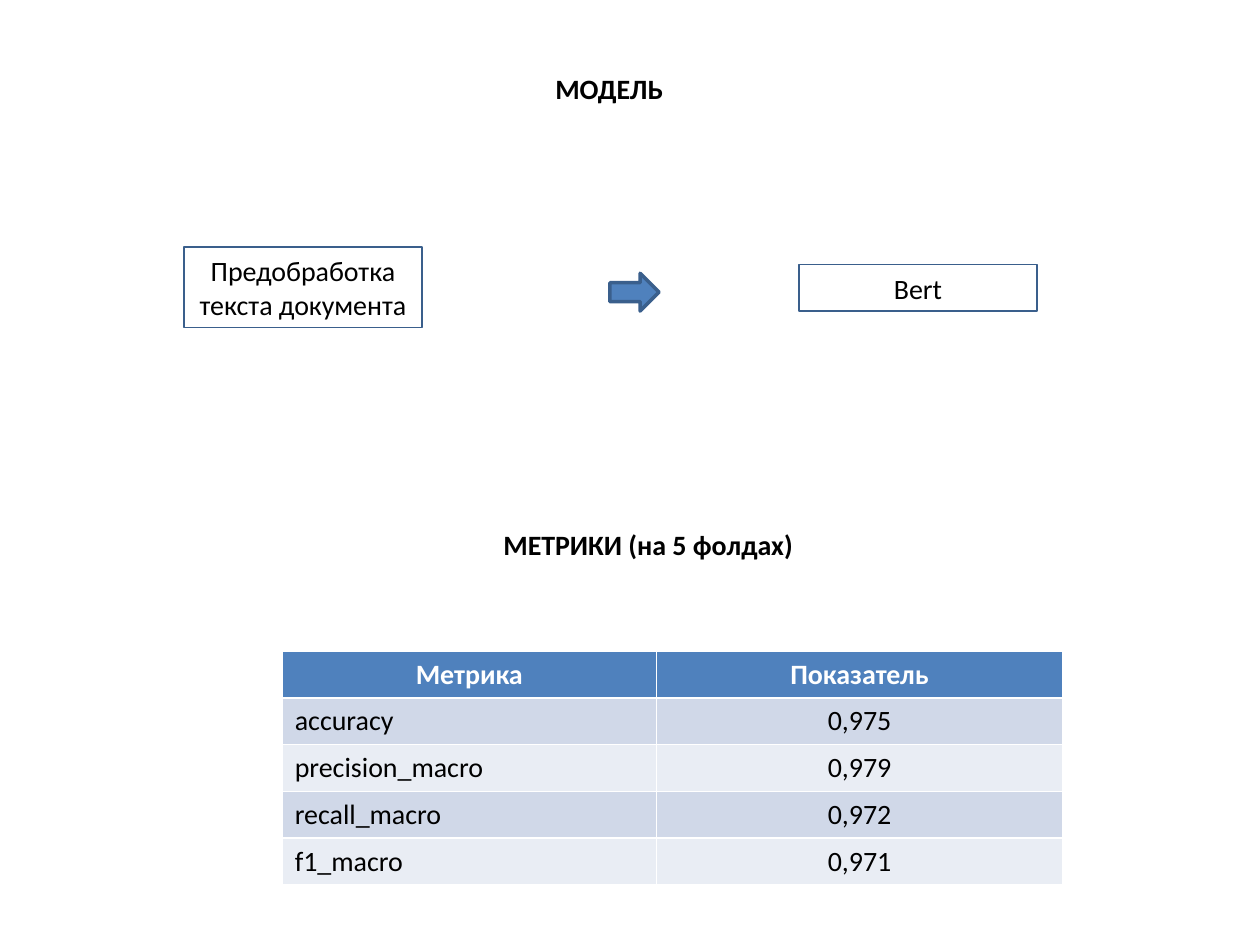
from dataclasses import dataclass

from pptx import Presentation
from pptx.dml.color import RGBColor
from pptx.enum.shapes import MSO_SHAPE
from pptx.enum.text import MSO_AUTO_SIZE, PP_ALIGN
from pptx.slide import Slide
from pptx.text.text import TextFrame
from pptx.util import Pt

RECTANGLE = MSO_SHAPE.RECTANGLE
RIGHT_ARROW = MSO_SHAPE.RIGHT_ARROW
LEFT, CENTER = PP_ALIGN.LEFT, PP_ALIGN.CENTER
FIT_SHAPE = MSO_AUTO_SIZE.SHAPE_TO_FIT_TEXT


@dataclass(frozen=True)
class Theme:
    font: str = "Calibri"
    size: float = 16
    text: RGBColor = RGBColor(0x00, 0x00, 0x00)
    header_text: RGBColor = RGBColor(0xFF, 0xFF, 0xFF)
    accent: RGBColor = RGBColor(0x4F, 0x81, 0xBD)
    outline: RGBColor = RGBColor(0x3A, 0x5F, 0x8C)
    bands: tuple[RGBColor, RGBColor] = (
        RGBColor(0xD0, 0xD8, 0xE8),
        RGBColor(0xE9, 0xED, 0xF4),
    )


@dataclass(frozen=True)
class Block:
    """A labelled area; lengths in points."""
    text: str
    left: float
    top: float
    width: float
    height: float

    def bounds(self) -> tuple[Pt, Pt, Pt, Pt]:
        return Pt(self.left), Pt(self.top), Pt(self.width), Pt(self.height)


THEME = Theme()

HEADINGS = [
    Block("МОДЕЛЬ", 184.3, 37.4, 327.6, 26.6),
    Block("МЕТРИКИ (на 5 фолдах)", 246.2, 298.1, 248.4, 26.6),
]
STEPS = [
    Block("Предобработка текста документа", 105.1, 141.1, 136.1, 46),
    Block("Bert", 456.5, 151.2, 136.1, 26.6),
]
ARROW = Block("", 348.5, 156.2, 28.1, 21.6)

TABLE_LEFT, TABLE_TOP = 161.3, 372.2
COLUMN_WIDTHS = (213.8, 232.2)
ROW_HEIGHT = 26.7
METRICS = [
    ("Метрика", "Показатель"),
    ("accuracy", "0,975"),
    ("precision_macro", "0,979"),
    ("recall_macro", "0,972"),
    ("f1_macro", "0,971"),
]


def write_text(text_frame: TextFrame, text: str, color: RGBColor = THEME.text,
               bold: bool = False, alignment: PP_ALIGN = CENTER) -> None:
    text_frame.text = text
    text_frame.word_wrap = True
    for paragraph in text_frame.paragraphs:
        paragraph.alignment = alignment
        for run in paragraph.runs:
            run.font.name = THEME.font
            run.font.size = Pt(THEME.size)
            run.font.bold = bold
            run.font.color.rgb = color


def add_heading(slide: Slide, block: Block) -> None:
    text_frame = slide.shapes.add_textbox(*block.bounds()).text_frame
    write_text(text_frame, block.text, bold=True)
    text_frame.auto_size = FIT_SHAPE


def add_step(slide: Slide, block: Block) -> None:
    shape = slide.shapes.add_shape(RECTANGLE, *block.bounds())
    shape.shadow.inherit = False
    shape.fill.background()
    shape.line.color.rgb = THEME.outline
    shape.line.width = Pt(0.75)
    write_text(shape.text_frame, block.text)
    shape.text_frame.auto_size = FIT_SHAPE


def add_arrow(slide: Slide, block: Block) -> None:
    shape = slide.shapes.add_shape(RIGHT_ARROW, *block.bounds())
    shape.shadow.inherit = False
    shape.fill.solid()
    shape.fill.fore_color.rgb = THEME.accent
    shape.line.color.rgb = THEME.outline
    shape.line.width = Pt(2)


def add_metrics_table(slide: Slide) -> None:
    # The default table style supplies the white cell borders
    table = slide.shapes.add_table(
        len(METRICS), len(COLUMN_WIDTHS), Pt(TABLE_LEFT), Pt(TABLE_TOP),
        Pt(sum(COLUMN_WIDTHS)), Pt(ROW_HEIGHT * len(METRICS)),
    ).table
    for column, width in zip(table.columns, COLUMN_WIDTHS):
        column.width = Pt(width)
    for row_index, values in enumerate(METRICS):
        table.rows[row_index].height = Pt(ROW_HEIGHT)
        is_header = row_index == 0
        fill_color = THEME.accent if is_header else THEME.bands[(row_index - 1) % 2]
        text_color = THEME.header_text if is_header else THEME.text
        for column_index, value in enumerate(values):
            cell = table.cell(row_index, column_index)
            cell.fill.solid()
            cell.fill.fore_color.rgb = fill_color
            alignment = CENTER if is_header or column_index > 0 else LEFT
            write_text(cell.text_frame, value, text_color, is_header, alignment)


def main() -> None:
    presentation = Presentation()
    presentation.slide_width, presentation.slide_height = Pt(720), Pt(540)
    slide = presentation.slides.add_slide(presentation.slide_layouts[6])

    # Headings
    for heading in HEADINGS:
        add_heading(slide, heading)

    # Model pipeline
    for step in STEPS:
        add_step(slide, step)
    add_arrow(slide, ARROW)

    # Metrics
    add_metrics_table(slide)

    presentation.save("out.pptx")


if __name__ == "__main__":
    main()
